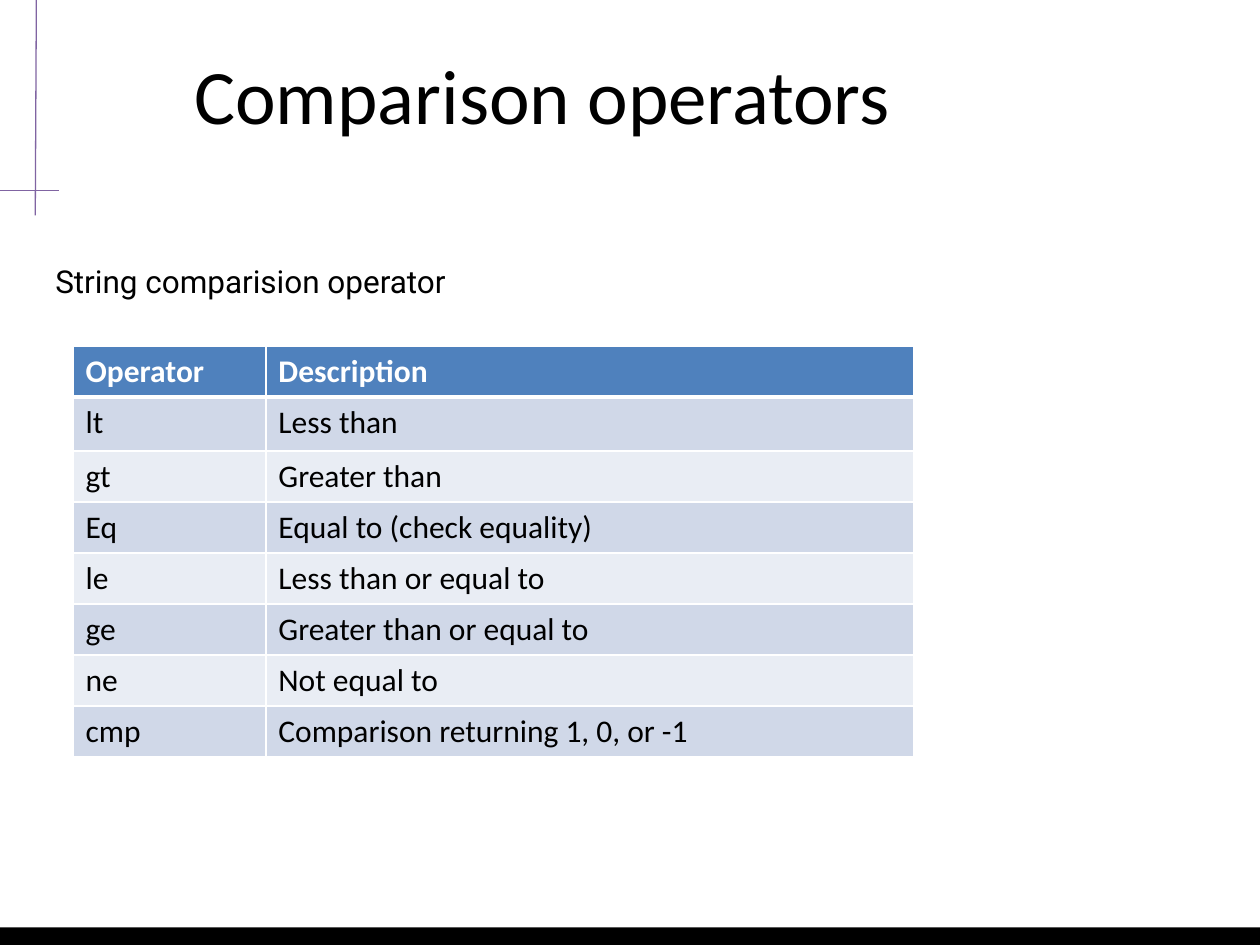
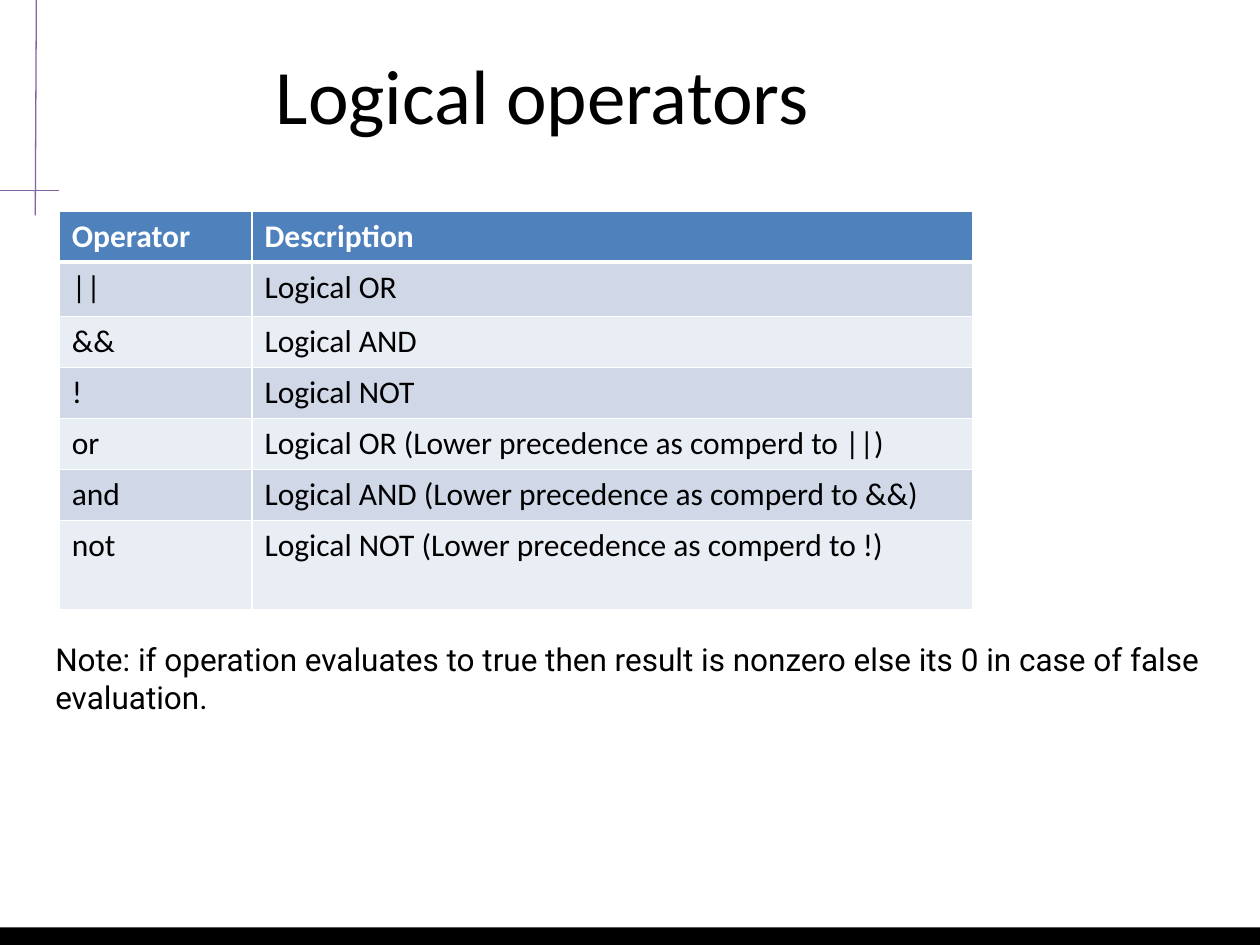
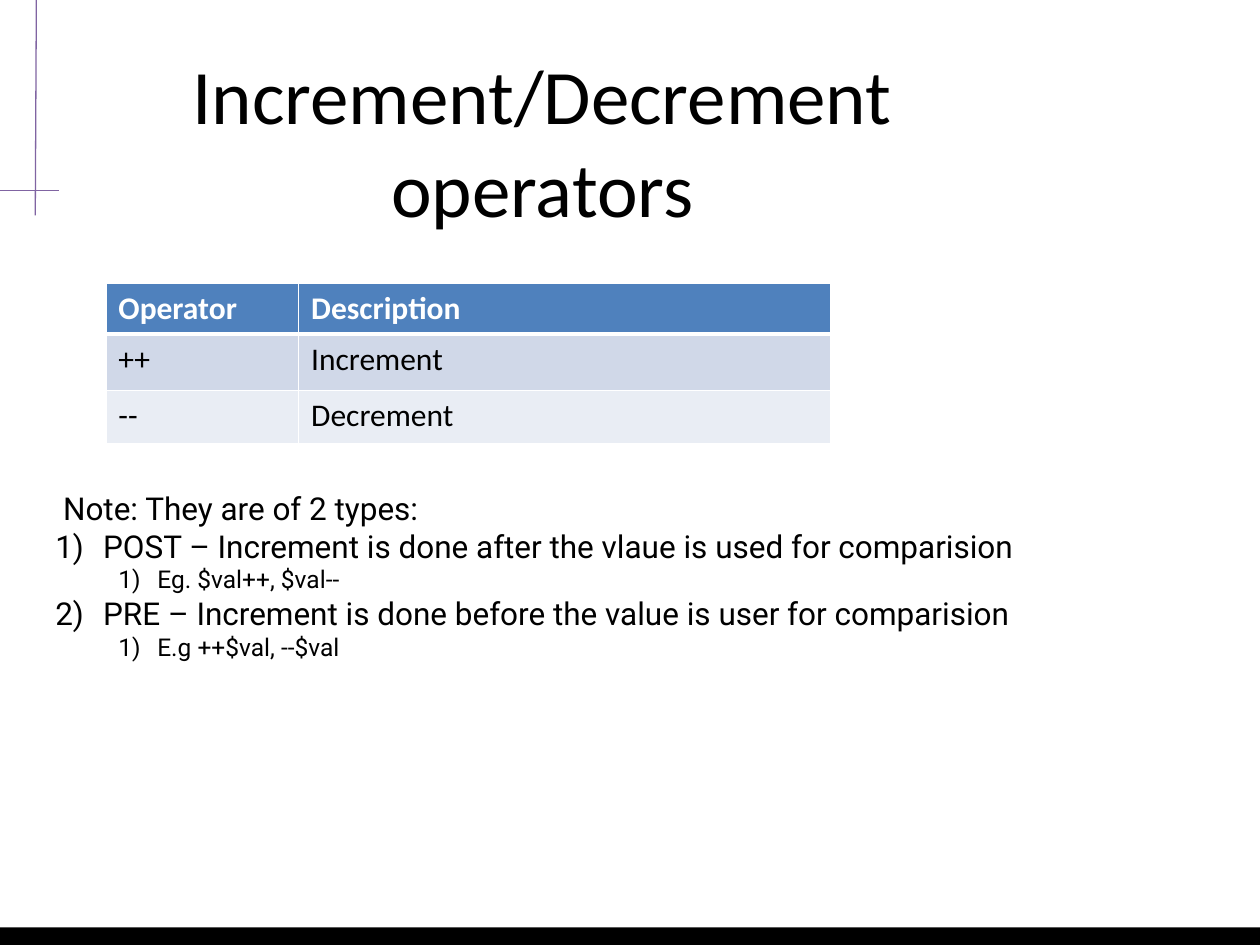
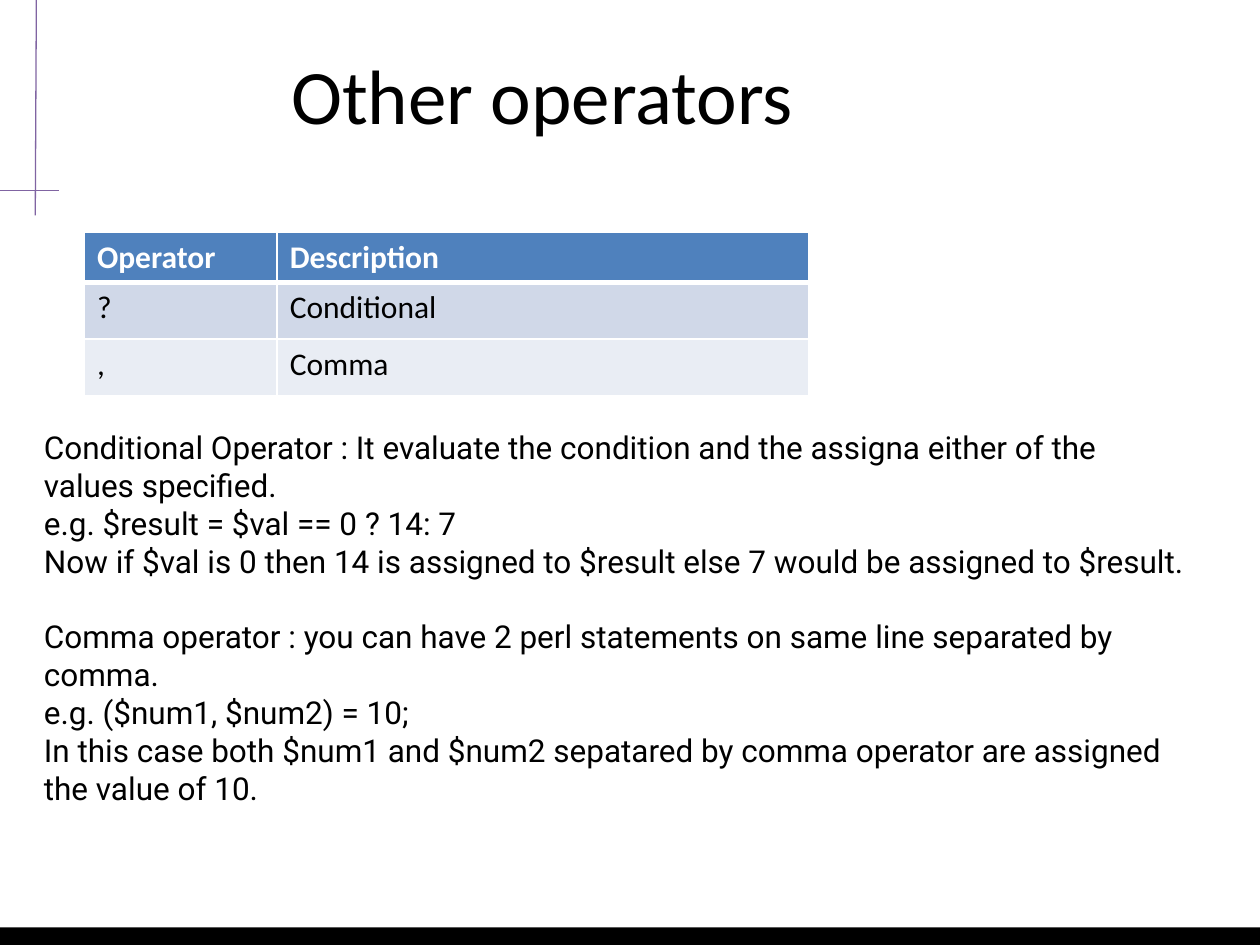
"""Build four slides on Perl operators."""
from dataclasses import dataclass

from lxml import etree
from pptx import Presentation
from pptx.dml.color import RGBColor
from pptx.enum.shapes import MSO_CONNECTOR, MSO_SHAPE
from pptx.enum.text import MSO_ANCHOR, PP_ALIGN
from pptx.oxml.ns import qn
from pptx.util import Inches, Pt

RECTANGLE = MSO_SHAPE.RECTANGLE
STRAIGHT = MSO_CONNECTOR.STRAIGHT
TOP = MSO_ANCHOR.TOP
LEFT, CENTER = PP_ALIGN.LEFT, PP_ALIGN.CENTER

COLORS = {
    "text": "000000",
    "band": "000000",
    "rule": "8064A2",
    "white": "FFFFFF",
    "header": "4F81BD",
    "odd": "D0D8E8",
    "even": "E9EDF4",
}
FONTS = {"title": "Calibri", "table": "Calibri", "body": "Roboto"}
BLANK_LAYOUT = 6
INSET = 0.1
BODY_LINE = 0.3  # height of one 18-point body line
HEADER_ROW = 0.4
ROW = 2.43 / 6  # six plain rows share this height
OPERATOR_WIDTH = 1.53
TITLE_BOX = (0.28, 0.28, 8.05, 0.89)
BODY_BOX = (0.34, 1.68, 9.32, 4.98)
BAND_BOX = (0, 7.36, 10, 0.14)
CORNER_RULES = ((0.29, -0.25, 0.28, 1.71), (-1, 1.51, 0.47, 1.51))


@dataclass(frozen=True)
class Line:
    """One body paragraph; a numbered one has a hanging indent."""
    text: str
    size: int = 18
    level: int = 0
    margin: float = 0
    hanging: float = 0
    space_before: float = 0


@dataclass(frozen=True)
class OperatorTable:
    """Place, description width, row heights and rows of a table."""
    left: float
    top: float
    description_width: float
    heights: tuple[float, ...]
    rows: tuple[tuple[str, str], ...]


@dataclass(frozen=True)
class OperatorSlide:
    """Content of one slide; the text starts some lines down the body area."""
    title: str
    table: OperatorTable
    lines: tuple[Line, ...]
    lines_down: int
    body_box: tuple[float, float, float, float] = BODY_BOX


def numbered(text: str) -> Line:
    """Return a first-level numbered line."""
    return Line(text, margin=0.38, hanging=0.38)


def example(text: str) -> Line:
    """Return a smaller second-level numbered line."""
    return Line(text, size=14, level=1, margin=0.81, hanging=0.31)


SLIDES = (
    OperatorSlide(
        "Comparison operators",
        OperatorTable(0.58, 2.75, 5.14, (HEADER_ROW, 0.43) + (ROW,) * 6, (
            ("lt", "Less than"),
            ("gt", "Greater than"),
            ("Eq", "Equal to (check equality)"),
            ("le", "Less than or equal to"),
            ("ge", "Greater than or equal to"),
            ("ne", "Not equal to"),
            ("cmp", "Comparison returning 1, 0, or -1"),
        )),
        (Line("String comparision operator"),),
        lines_down=1,
    ),
    OperatorSlide(
        "Logical operators",
        OperatorTable(0.47, 1.68, 5.72, (HEADER_ROW, 0.43) + (ROW,) * 4 + (0.71,), (
            ("||", "Logical OR"),
            ("&&", "Logical AND"),
            ("!", "Logical NOT"),
            ("or", "Logical OR (Lower precedence as comperd to ||)"),
            ("and", "Logical AND (Lower precedence as comperd to &&)"),
            ("not", "Logical NOT (Lower precedence as comperd to !)"),
        )),
        (Line("Note: if operation evaluates to true then result is nonzero "
              "else its 0 in case of false evaluation."),),
        lines_down=11,
    ),
    OperatorSlide(
        "Increment/Decrement operators",
        OperatorTable(0.84, 2.25, 4.22, (HEADER_ROW, 0.45, 0.42), (
            ("++", "Increment"),
            ("--", "Decrement"),
        )),
        (
            Line(" Note: They are of 2 types:"),
            numbered("POST – Increment is done after the vlaue is used for comparision"),
            example("Eg. $val++, $val--"),
            numbered("PRE – Increment is done before the value is user for comparision"),
            example("E.g ++$val, --$val"),
        ),
        lines_down=7,
    ),
    OperatorSlide(
        "Other operators",
        OperatorTable(0.67, 1.84, 4.22, (HEADER_ROW, 0.45, 0.45), (
            ("?", "Conditional"),
            (",", "Comma"),
        )),
        (
            Line("Conditional Operator : It evaluate the condition and the "
                 "assigna either of the values specified."),
            Line("e.g. $result = $val == 0 ? 14: 7"),
            Line("Now if $val is 0 then 14 is assigned to $result else 7 "
                 "would be assigned to $result."),
            Line("Comma operator : you can have 2 perl statements on same "
                 "line separated by comma.", space_before=BODY_LINE),
            Line("e.g. ($num1, $num2) = 10;"),
            Line("In this case both $num1 and $num2 sepatared by comma "
                 "operator are assigned the value of 10."),
        ),
        lines_down=6,
        body_box=(0.25, 1.5, 9.32, 5.42),
    ),
)


def rgb(name: str) -> RGBColor:
    """Return a named colour."""
    return RGBColor.from_string(COLORS[name])


def set_all(target, values: dict) -> None:
    """Set each attribute in a dict of format values."""
    for name, value in values.items():
        setattr(target, name, value)


def write(paragraph, text: str, font: str, size: int, color: str = "text",
          bold: bool = False, align=LEFT) -> None:
    """Write one formatted run into a paragraph."""
    paragraph.alignment = align
    run = paragraph.add_run()
    run.text = text
    set_all(run.font, {"name": FONTS[font], "size": Pt(size), "bold": bold})
    run.font.color.rgb = rgb(color)


def add_text_frame(slide, box: tuple[float, float, float, float]):
    """Add a wrapping text box and return its frame."""
    frame = slide.shapes.add_textbox(*map(Inches, box)).text_frame
    set_all(frame, {"word_wrap": True, "vertical_anchor": TOP})
    set_all(frame, {f"margin_{side}": Inches(INSET)
                    for side in ("left", "right", "top", "bottom")})
    return frame


def add_band(slide) -> None:
    """Draw the band at the foot of the slide."""
    band = slide.shapes.add_shape(RECTANGLE, *map(Inches, BAND_BOX))
    band.shadow.inherit = False
    band.fill.solid()
    band.fill.fore_color.rgb = rgb("band")
    band.line.fill.background()


def add_corner_rules(slide) -> None:
    """Draw the two crossing rules at the top left."""
    for ends in CORNER_RULES:
        rule = slide.shapes.add_connector(STRAIGHT, *map(Inches, ends))
        rule.line.width = Pt(0.75)
        rule.line.color.rgb = rgb("rule")
        etree.SubElement(rule._element.spPr, qn("a:effectLst"))


def add_body(slide, content: OperatorSlide) -> None:
    """Write the body paragraphs, with numbers where they hang."""
    left, top, width, height = content.body_box
    offset = content.lines_down * BODY_LINE
    frame = add_text_frame(slide, (left, top + offset, width, height - offset))
    for index, line in enumerate(content.lines):
        paragraph = frame.add_paragraph() if index else frame.paragraphs[0]
        write(paragraph, line.text, "body", line.size)
        set_all(paragraph, {"level": line.level,
                            "space_before": Inches(line.space_before)})
        if line.hanging:
            properties = paragraph._p.get_or_add_pPr()
            properties.set("marL", str(Inches(line.margin)))
            properties.set("indent", str(-Inches(line.hanging)))
            etree.SubElement(properties, qn("a:buFont"), typeface="+mj-lt")
            etree.SubElement(properties, qn("a:buAutoNum"), type="arabicParenR")


def add_borders(cell, widths: dict[str, float]) -> None:
    """Give a cell white borders of the given point widths."""
    properties = cell._tc.get_or_add_tcPr()
    for side, width in widths.items():
        border = etree.SubElement(properties, qn(f"a:ln{side}"), w=str(Pt(width)))
        fill = etree.SubElement(border, qn("a:solidFill"))
        etree.SubElement(fill, qn("a:srgbClr"), val=COLORS["white"])


def add_operator_table(slide, content: OperatorTable) -> None:
    """Draw the operator table with its header and banded rows."""
    rows = (("Operator", "Description"),) + content.rows
    widths = (OPERATOR_WIDTH, content.description_width)
    box = (content.left, content.top, sum(widths), sum(content.heights))
    table = slide.shapes.add_table(len(rows), len(widths), *map(Inches, box)).table
    for column, width in zip(table.columns, widths):
        column.width = Inches(width)
    for row_index, (texts, height) in enumerate(zip(rows, content.heights)):
        table.rows[row_index].height = Inches(height)
        header = row_index == 0
        fill = "header" if header else ("even", "odd")[row_index % 2]
        borders = {"L": 1, "R": 1, "T": 3 if row_index == 1 else 1,
                   "B": 3 if header else 1}
        for column_index, text in enumerate(texts):
            cell = table.cell(row_index, column_index)
            add_borders(cell, borders)
            cell.fill.solid()
            cell.fill.fore_color.rgb = rgb(fill)
            write(cell.text_frame.paragraphs[0], text, "table", 18,
                  "white" if header else "text", header)


def add_operator_slide(presentation, content: OperatorSlide) -> None:
    """Add one slide with all its parts, from back to front."""
    slide = presentation.slides.add_slide(presentation.slide_layouts[BLANK_LAYOUT])
    add_band(slide)
    title = add_text_frame(slide, TITLE_BOX)
    write(title.paragraphs[0], content.title, "title", 44, align=CENTER)
    add_body(slide, content)
    add_corner_rules(slide)
    add_operator_table(slide, content.table)


def main() -> None:
    """Build and save the presentation."""
    presentation = Presentation()
    set_all(presentation, {"slide_width": Inches(10), "slide_height": Inches(7.5)})
    for content in SLIDES:
        add_operator_slide(presentation, content)
    presentation.save("out.pptx")


main()
